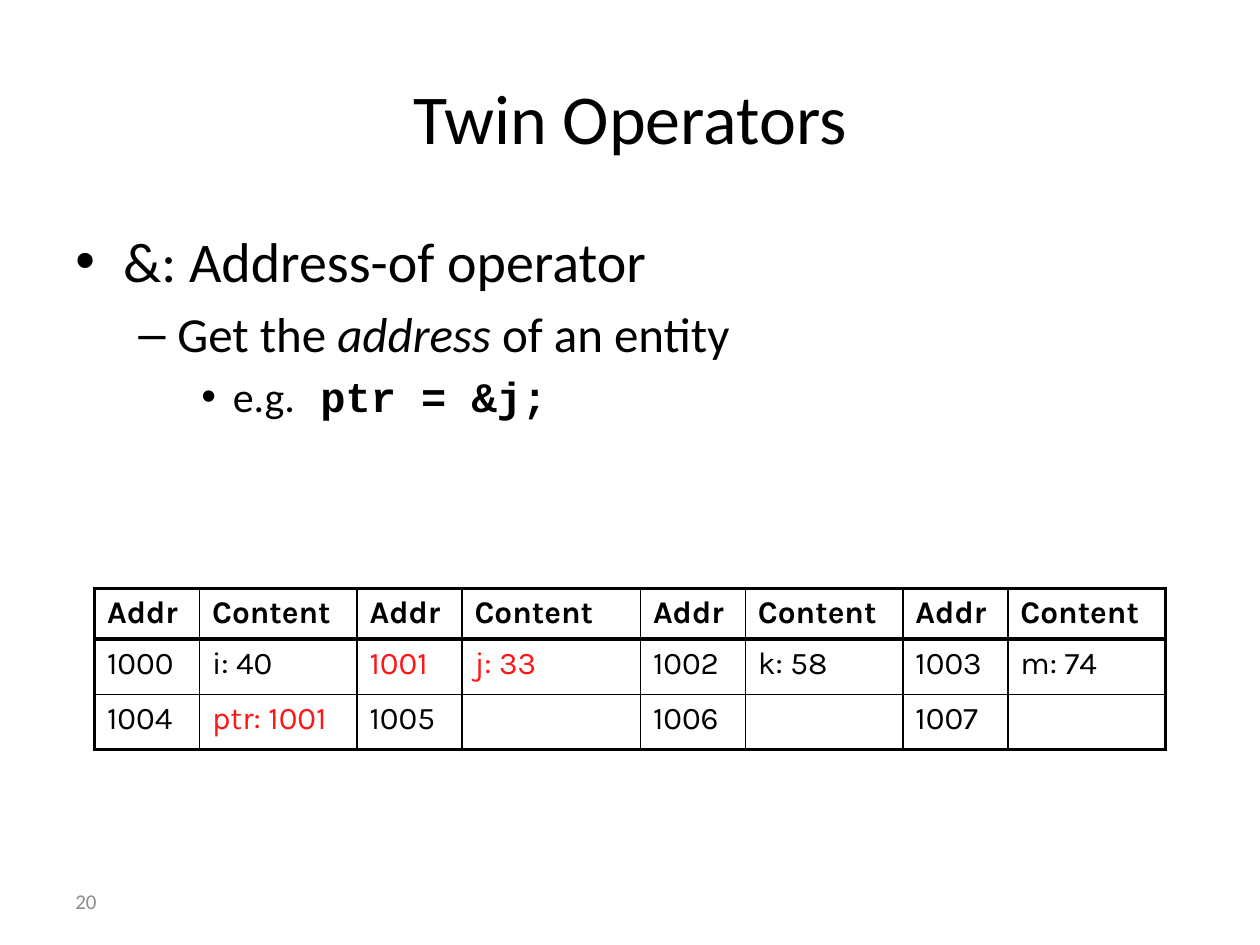
from dataclasses import dataclass

from lxml.etree import SubElement
from pptx import Presentation
from pptx.dml.color import RGBColor
from pptx.enum.text import MSO_ANCHOR, PP_ALIGN
from pptx.oxml.ns import qn
from pptx.util import Inches, Pt

BLACK = RGBColor(0x00, 0x00, 0x00)
GREY = RGBColor(0x8C, 0x8C, 0x8C)
RED = RGBColor(0xFF, 0x17, 0x17)
THIN, THICK = Pt(1), Pt(2.25)


@dataclass
class Run:
    text: str
    size: float
    font: str = "Calibri"
    color: RGBColor = BLACK
    bold: bool = False
    slant: bool = False


@dataclass
class Point:
    mark: str
    left: float
    hang: float
    runs: list[Run]


POINTS = [
    Point("•", 0.38, 0.38, [Run("&: Address-of operator", 32)]),
    Point("–", 0.81, 0.31, [Run("Get the ", 28),
                            Run("address", 28, slant=True),
                            Run(" of an entity", 28)]),
    Point("•", 1.25, 0.25, [Run("e.g.", 24),
                            Run(" ptr = &j;", 24, "Courier New", bold=True)]),
]

WIDTHS = [10, 15, 10, 17, 10, 15, 10, 15]  # twelfths of an inch
HEIGHTS = [0.4, 0.44, 0.44]
ROWS = [
    ["Addr", "Content"] * 4,
    ["1000", "i: 40", "1001", "j: 33", "1002", "k: 58", "1003", "m: 74"],
    ["1004", "ptr: 1001", "1005", "", "1006", "", "1007", ""],
]
RED_CELLS = {"1001", "j: 33", "ptr: 1001"}


def add_run(para, item: Run) -> None:
    run = para.add_run()
    run.text = item.text
    font = run.font
    font.name, font.size = item.font, Pt(item.size)
    font.bold, font.italic = item.bold, item.slant
    font.color.rgb = item.color


def add_box(slide, left: float, top: float, width: float, height: float,
            anchor=MSO_ANCHOR.TOP):
    box = slide.shapes.add_textbox(Inches(left), Inches(top),
                                   Inches(width), Inches(height))
    frame = box.text_frame
    frame.word_wrap = True
    frame.vertical_anchor = anchor
    return frame


def add_points(frame, points: list[Point]) -> None:
    for level, point in enumerate(points):
        para = frame.add_paragraph() if level else frame.paragraphs[0]
        para.level = level
        if level:
            para.space_before = Pt(point.runs[0].size * 0.2)
        props = para._p.get_or_add_pPr()
        props.set("marL", str(Inches(point.left)))
        props.set("indent", str(-Inches(point.hang)))
        SubElement(props, qn("a:buFont"), typeface="Arial")
        SubElement(props, qn("a:buChar"), char=point.mark)
        for run in point.runs:
            add_run(para, run)


def set_edges(cell, edges: dict[str, int]) -> None:
    """Draw black cell borders; edges maps L, R, T, B, in that order, to widths."""
    props = cell._tc.get_or_add_tcPr()
    for side, width in edges.items():
        line = SubElement(props, qn(f"a:ln{side}"), w=str(width))
        fill = SubElement(line, qn("a:solidFill"))
        SubElement(fill, qn("a:srgbClr"), val=str(BLACK))


def add_grid(slide) -> None:
    last_row, last_col = len(ROWS) - 1, len(WIDTHS) - 1
    table = slide.shapes.add_table(
        len(ROWS), len(WIDTHS), Inches(0.75), Inches(4.67),
        Inches(sum(WIDTHS) / 12), Inches(sum(HEIGHTS))).table
    table.first_row = table.horz_banding = False
    for col, width in zip(table.columns, WIDTHS):
        col.width = Inches(width / 12)
    for row, height in zip(table.rows, HEIGHTS):
        row.height = Inches(height)
    for r, texts in enumerate(ROWS):
        for c, text in enumerate(texts):
            cell = table.cell(r, c)
            set_edges(cell, {
                "L": THICK if c == 0 else THIN,
                "R": THICK if c == last_col else THIN,
                "T": THICK if r < 2 else THIN,
                "B": THICK if r in (0, last_row) else THIN,
            })
            cell.fill.background()
            if text:
                color = RED if text in RED_CELLS else BLACK
                add_run(cell.text_frame.paragraphs[0],
                        Run(text, 18, "Karla", color, bold=r == 0))


def main() -> None:
    deck = Presentation()
    deck.slide_width, deck.slide_height = Inches(10), Inches(7.5)
    slide = deck.slides.add_slide(deck.slide_layouts[6])

    number = add_box(slide, 0.5, 6.95, 2.33, 0.4, MSO_ANCHOR.MIDDLE)
    add_run(number.paragraphs[0], Run("20", 12, color=GREY))

    title = add_box(slide, 0.5, 0.3, 9, 1.25, MSO_ANCHOR.MIDDLE)
    title.paragraphs[0].alignment = PP_ALIGN.CENTER
    add_run(title.paragraphs[0], Run("Twin Operators", 40))

    add_points(add_box(slide, 0.5, 1.75, 9, 4.95), POINTS)
    add_grid(slide)
    deck.save("out.pptx")


if __name__ == "__main__":
    main()
